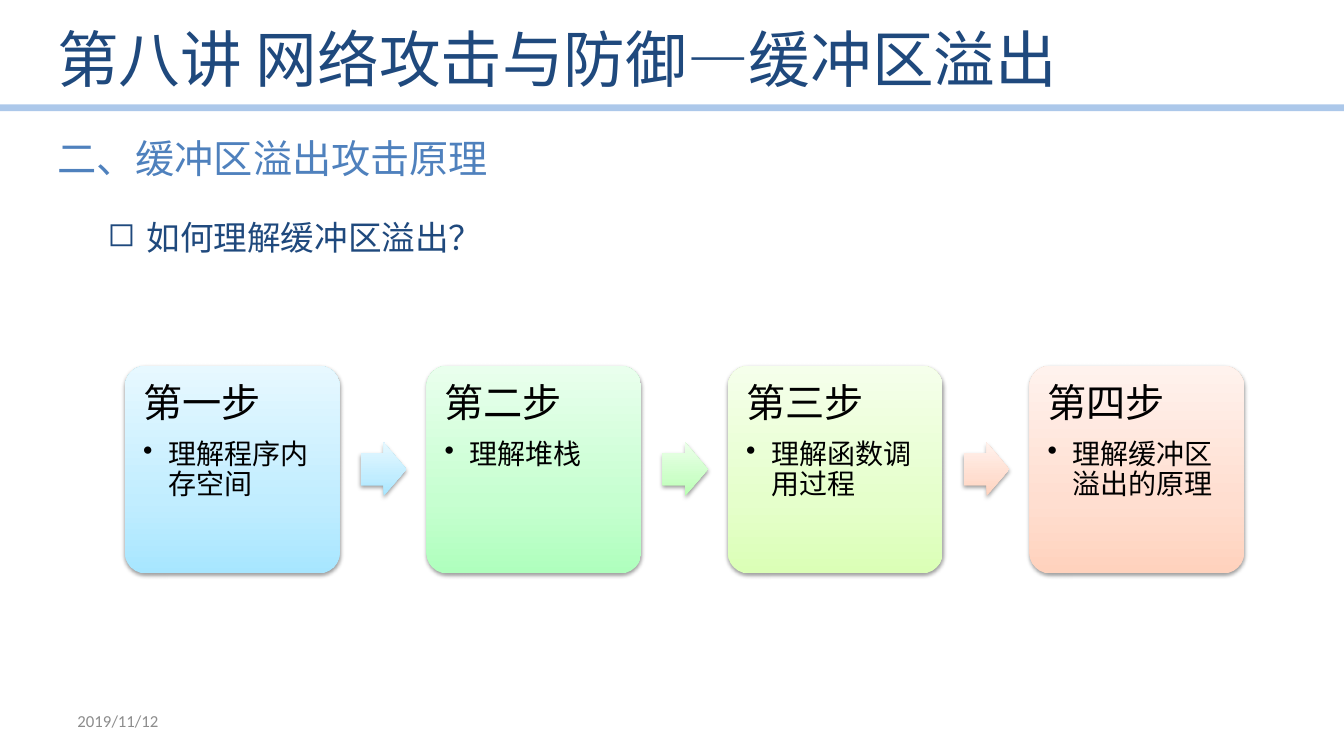
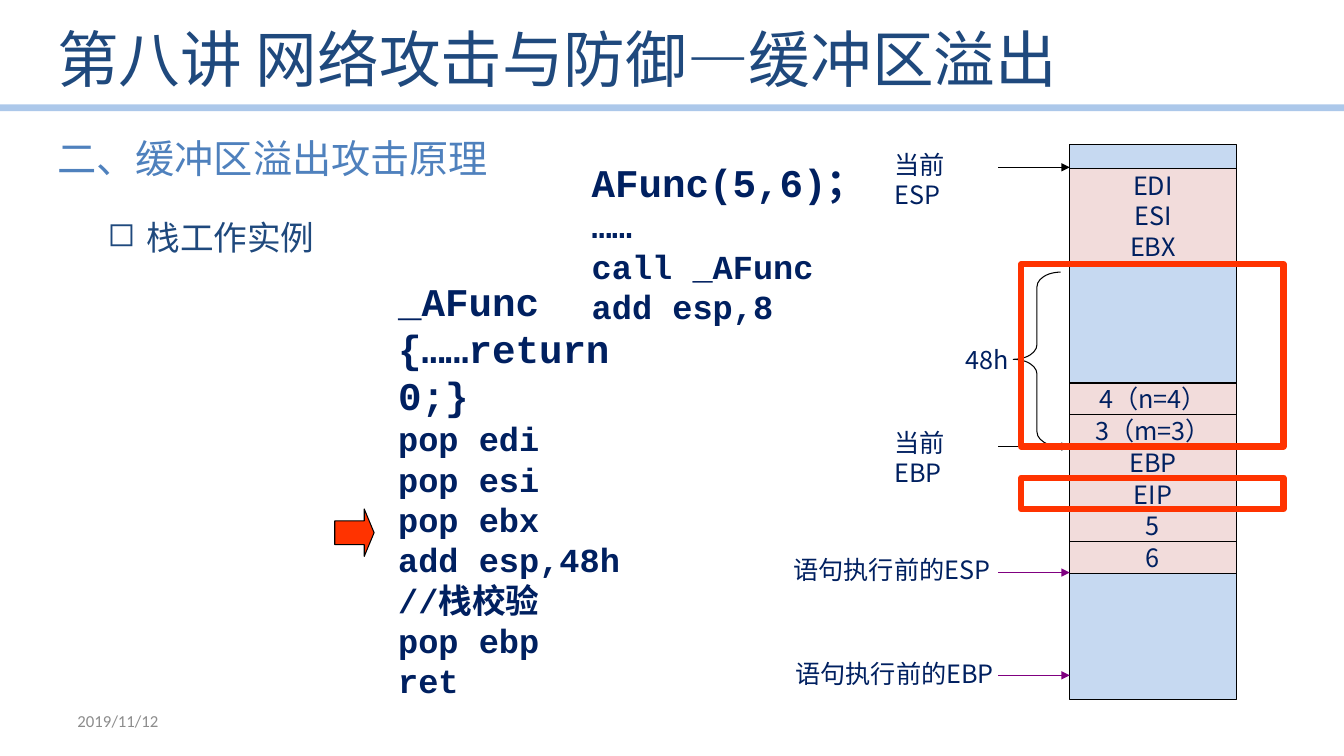
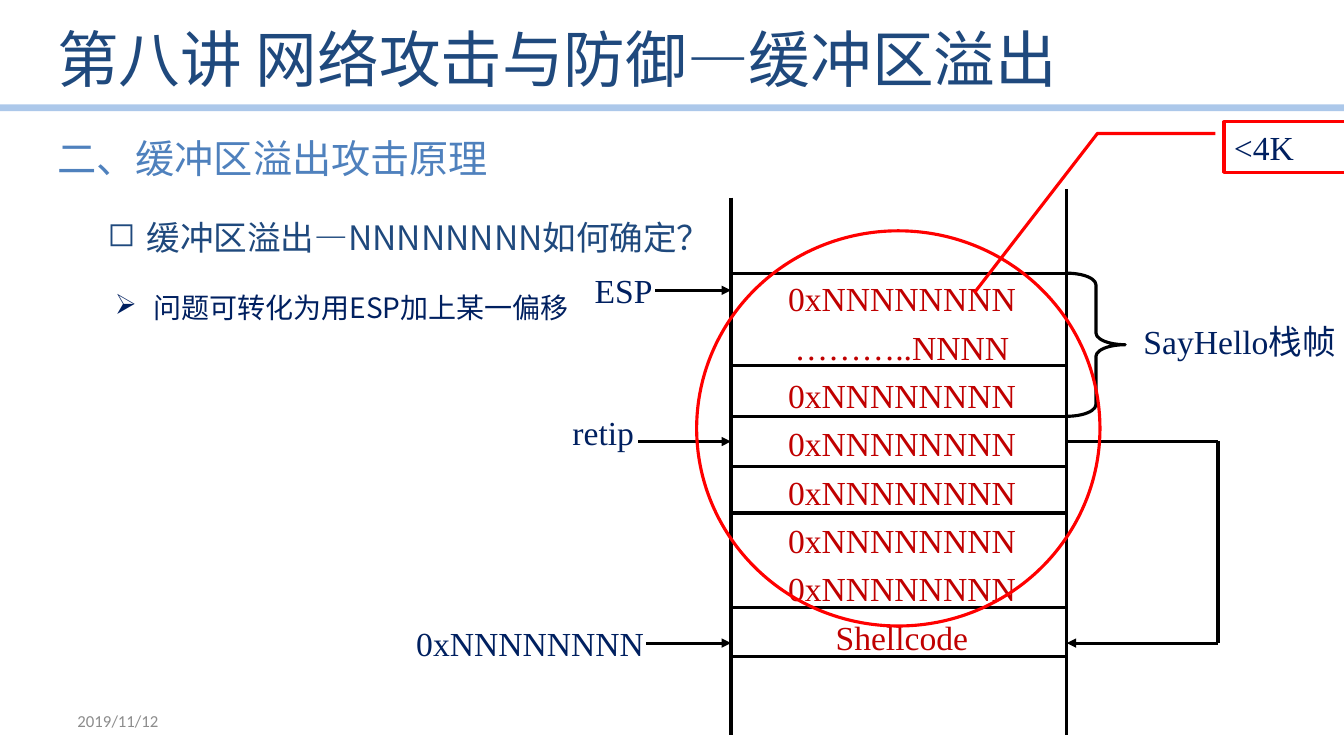
"""Build three lecture slides on buffer overflow attacks."""
from lxml.etree import SubElement
from pptx import Presentation
from pptx.dml.color import RGBColor
from pptx.enum.shapes import MSO_CONNECTOR, MSO_SHAPE as SHAPE
from pptx.enum.text import MSO_ANCHOR as ANCHOR, PP_ALIGN as ALIGN
from pptx.oxml.ns import qn
from pptx.util import Emu, Inches, Pt

CJK, CODE, SERIF, SMALL = "Noto Sans CJK SC", "Courier New", "Times New Roman", "Calibri"
TITLE, SECTION, INK, GREY = "1F497D", "4F81BD", "002060", "8C8C8C"
BLACK, PURPLE, ORANGE, RED, DARK_RED = "000000", "800080", "FF3300", "FF0000", "C00000"
RULE, FREE, USED = "8EB4E3", "C6D9F1", "F2DCDB"
BLUE = ("A7E6FF", "C1EDFF", "E7F8FF")
MINT = ("AFFFBD", "C6FFD0", "E9FFED")
GREEN = ("B9FFB2", "CDFFC9", "ECFFEA")
LIME = ("DBFFB6", "E5FFCB", "F5FFEB")
PEACH = ("FFD2BD", "FFDED0", "FFF2ED")


def rgb(value):
    """Turn a hex string into a colour."""
    return RGBColor.from_string(value)


def add_para(tf, text, size, color=INK, font=CJK, bold=False, align=ALIGN.LEFT,
             spacing=None, after=None, bullet=None):
    """Add one paragraph; bullet is (character, left margin, hanging indent)."""
    p = tf.paragraphs[0]
    if p.runs:
        p = tf.add_paragraph()
    if bullet:
        char, left, hang = bullet
        pPr = p._p.get_or_add_pPr()
        pPr.set("marL", str(Inches(left)))
        pPr.set("indent", str(-Inches(hang)))
        SubElement(pPr, qn("a:buChar")).set("char", char)
    p.alignment = align
    if spacing:
        p.line_spacing = spacing
    if after:
        p.space_after = Pt(after)
    r = p.add_run()
    r.text = text
    r.font.size, r.font.bold, r.font.name = Pt(size), bold, font
    r.font.color.rgb = rgb(color)
    SubElement(r._r.get_or_add_rPr(), qn("a:ea")).set("typeface", CJK)


def add_text(s, box, lines, size, anchor=ANCHOR.TOP, **style):
    """Add a wrapping text box with one paragraph per line."""
    tf = s.shapes.add_textbox(*map(Inches, box)).text_frame
    tf.word_wrap, tf.vertical_anchor = True, anchor
    for line in lines:
        add_para(tf, line, size, **style)
    return tf


def add_shape(s, kind, box, fill=None, line=None, width=0.75, adj=()):
    """Add a preset shape without shadow, optionally filled and outlined."""
    sp = s.shapes.add_shape(kind, *map(Inches, box))
    sp.shadow.inherit = False
    for i, value in enumerate(adj):
        sp.adjustments[i] = value
    if fill:
        sp.fill.solid()
        sp.fill.fore_color.rgb = rgb(fill)
    else:
        sp.fill.background()
    if line:
        sp.line.color.rgb = rgb(line)
        sp.line.width = Pt(width)
    else:
        sp.line.fill.background()
    return sp


def add_glossy(s, kind, box, colors, adj):
    """Add a shape with a bottom-to-top gradient and a soft shadow."""
    sp = add_shape(s, kind, box, adj=adj)
    sp.fill.gradient()
    sp.fill.gradient_angle = 90
    spPr = sp._element.spPr
    stops = spPr.find(".//" + qn("a:gsLst"))
    for stop in list(stops):
        stops.remove(stop)
    for pos, color in zip((0, 35, 100), colors):
        gs = SubElement(stops, qn("a:gs"), pos=str(pos * 1000))
        SubElement(gs, qn("a:srgbClr"), val=color)
    shadow = SubElement(spPr.find(qn("a:effectLst")), qn("a:outerShdw"),
                        blurRad=str(Pt(3.1)), dist=str(Pt(1.6)), dir="5400000", rotWithShape="0")
    shade = SubElement(shadow, qn("a:srgbClr"), val=BLACK)
    SubElement(shade, qn("a:alpha"), val="38000")
    return sp


def add_line(s, x1, y1, x2, y2, color=BLACK, width=2.25, arrow=False):
    """Add a straight line, with an arrowhead at its end if asked."""
    ln = s.shapes.add_connector(MSO_CONNECTOR.STRAIGHT, *map(Inches, (x1, y1, x2, y2)))
    ln.line.color.rgb = rgb(color)
    ln.line.width = Pt(width)
    if arrow:
        SubElement(ln.line._get_or_add_ln(), qn("a:tailEnd"), type="triangle")
    SubElement(ln._element.spPr, qn("a:effectLst"))
    return ln


def add_cell(s, top, height, lines):
    """Add one used cell of the stack column."""
    sp = add_shape(s, SHAPE.RECTANGLE, (10.61, top, 1.65, height), USED, BLACK)
    sp.text_frame.vertical_anchor = ANCHOR.MIDDLE
    for line in lines:
        add_para(sp.text_frame, line, 18, align=ALIGN.CENTER)


def new_slide(prs, topic):
    """Add a slide with the shared rule, title, section, topic and date."""
    s = prs.slides.add_slide(prs.slide_layouts[6])
    rule = add_line(s, 0, 1.07, 13.33, 1.07, RULE, 4.75)
    SubElement(rule._element.spPr.find(".//" + qn("a:srgbClr")), qn("a:alpha"), val="73000")
    add_text(s, (0.47, 0.09, 11.02, 0.97), ["第八讲 网络攻击与防御—缓冲区溢出"], 44,
             ANCHOR.MIDDLE, color=TITLE)
    add_text(s, (0.47, 2.02, 12.28, 0.7), [topic], 24, color=TITLE, align=ALIGN.JUSTIFY,
             spacing=1.2, bullet=("◻", 0.81, 0.31))
    add_text(s, (0.67, 6.95, 3.11, 0.4), ["2019/11/12"], 12, ANCHOR.MIDDLE,
             color=GREY, font=SMALL)
    add_text(s, (0.47, 1.28, 4.52, 0.57), ["二、缓冲区溢出攻击原理"], 28, color=SECTION)
    return s


def build_steps(prs):
    """Build the four-step overview."""
    s = new_slide(prs, " 如何理解缓冲区溢出？")
    steps = [("第一步", "理解程序内存空间", BLUE, BLUE),
             ("第二步", "理解堆栈", MINT, GREEN),
             ("第三步", "理解函数调用过程", LIME, PEACH),
             ("第四步", "理解缓冲区溢出的原理", PEACH, None)]
    for i, (head, body, card_colors, arrow_colors) in enumerate(steps):
        x = 1.24 + i * 2.99
        card = add_glossy(s, SHAPE.ROUNDED_RECTANGLE, (x, 3.63, 2.13, 2.06), card_colors, [0.1])
        tf = card.text_frame
        tf.vertical_anchor = ANCHOR.TOP
        tf.margin_left = tf.margin_right = tf.margin_top = tf.margin_bottom = Inches(0.12)
        add_para(tf, head, 28, BLACK, spacing=0.9, after=9.8)
        add_para(tf, body, 20, BLACK, spacing=0.9, after=3, bullet=("•", 0.25, 0.25))
        if arrow_colors:
            add_glossy(s, SHAPE.RIGHT_ARROW, (x + 2.34, 4.39, 0.45, 0.53), arrow_colors,
                       [0.6, 0.5])


def build_stack(prs):
    """Build the worked stack example."""
    s = new_slide(prs, " 栈工作实例")
    add_shape(s, SHAPE.RECTANGLE, (10.61, 1.43, 1.65, 5.51), FREE, BLACK)
    add_cell(s, 1.67, 0.94, ["EDI", "ESI", "EBX"])
    names = ["4（n=4）", "3（m=3）", "EBP", "EIP", "5", "6"]
    top, bottom = 3.8, 5.69
    step = (bottom - top) / len(names)
    for i, name in enumerate(names):
        add_cell(s, top + i * step, step, [name])

    pointers = [("当前ESP", 8.77, 1.43, 1.15, 1.66, BLACK),
                ("当前EBP", 8.77, 4.19, 1.15, 4.43, BLACK),
                ("语句执行前的ESP", 7.77, 5.45, 2.2, 5.68, PURPLE),
                ("语句执行前的EBP", 7.79, 6.48, 2.24, 6.7, PURPLE)]
    for label, x, y, w, arrow_y, color in pointers:
        add_text(s, (x, y, w, 0.4), [label], 18)
        add_line(s, 9.9, arrow_y, 10.61, arrow_y, color, 0.75, True)

    code = dict(font=CODE, bold=True)
    tf = add_text(s, (5.77, 1.52, 3.8, 2.44), ["AFunc(5,6)；"], 28, **code)
    for line in ["……", "call _AFunc", "add esp,8"]:
        add_para(tf, line, 24, **code)
    tf = add_text(s, (3.85, 2.7, 2.61, 4.14), ["_AFunc", "{……return 0;}"], 28, **code)
    for line in ["pop edi", "pop esi", "pop ebx", "add esp,48h", "//栈校验", "pop ebp", "ret"]:
        add_para(tf, line, 24, **code)
    add_shape(s, SHAPE.RIGHT_ARROW, (3.32, 5.05, 0.39, 0.47), ORANGE, BLACK, adj=[0.5, 0.25])

    add_shape(s, SHAPE.LEFT_BRACE, (10.05, 2.7, 0.47, 1.73), line=BLACK, adj=[0.31, 0.5])
    for y, h in [(2.62, 1.81), (4.74, 0.31)]:
        add_shape(s, SHAPE.RECTANGLE, (10.13, y, 2.6, h), line=ORANGE, width=4.5)
    add_text(s, (9.47, 3.37, 0.65, 0.4), ["48h"], 18, align=ALIGN.CENTER)


def build_overflow(prs):
    """Build the overwritten stack frame."""
    s = new_slide(prs, " 缓冲区溢出—NNNNNNNN如何确定？")
    address = "0xNNNNNNNN"
    left, right, turn = 7.25, 10.58, 12.08
    add_text(s, (7.7, 2.63, 2.49, 3.98),
             [address, "………..NNNN"] + [address] * 5 + ["Shellcode"], 24,
             color=DARK_RED, font=SERIF, align=ALIGN.CENTER, spacing=1.2)
    add_shape(s, SHAPE.RECTANGLE, (left, 2.71, right - left, 0.92), line=BLACK, width=2.25)
    add_line(s, left, 1.96, left, 7.29)
    add_line(s, right, 1.88, right, 7.29)
    for y in (4.13, 4.63, 5.09, 6.03, 6.51):
        add_line(s, left, y, right, y)

    pointers = [("ESP", 5.8, 2.63, 0.8, 6.5, 2.88),
                ("retip", 5.58, 4.04, 0.84, 6.33, 4.38),
                (address, 4.03, 6.13, 2.5, 6.41, 6.38)]
    for label, x, y, w, start, arrow_y in pointers:
        add_text(s, (x, y, w, 0.5), [label], 24, font=SERIF)
        add_line(s, start, arrow_y, left, arrow_y, arrow=True)

    add_shape(s, SHAPE.RIGHT_BRACE, (right, 2.71, 0.58, 1.42), line=BLACK, width=2.25,
              adj=[0.2, 0.5])
    add_text(s, (11.16, 3.13, 2.19, 0.5), [" SayHello栈帧"], 24, font=SERIF)
    add_line(s, right, 4.38, turn, 4.38)
    add_line(s, turn, 4.38, turn, 6.38)
    add_line(s, turn, 6.38, right, 6.38, arrow=True)

    add_shape(s, SHAPE.OVAL, (6.91, 2.29, 4, 3.92), line=RED, width=2.25)
    callout = add_shape(s, SHAPE.LINE_CALLOUT_2, (12.14, 1.21, 1.22, 0.5), line=RED, width=2.25,
                        adj=[0.23, -0.07, 0.23, -1.03, 3.39, -2.03])
    callout.text_frame.vertical_anchor = ANCHOR.TOP
    add_para(callout.text_frame, "<4K", 24, font=SERIF)
    add_text(s, (1.04, 2.77, 4.71, 0.47), ["问题可转化为用ESP加上某一偏移"], 20,
             spacing=1.2, bullet=("➢", 0.38, 0.38))


def main():
    """Build and save the deck."""
    prs = Presentation()
    prs.slide_width, prs.slide_height = Emu(Inches(13.33)), Inches(7.5)
    build_steps(prs)
    build_stack(prs)
    build_overflow(prs)
    prs.save("out.pptx")


if __name__ == "__main__":
    main()
